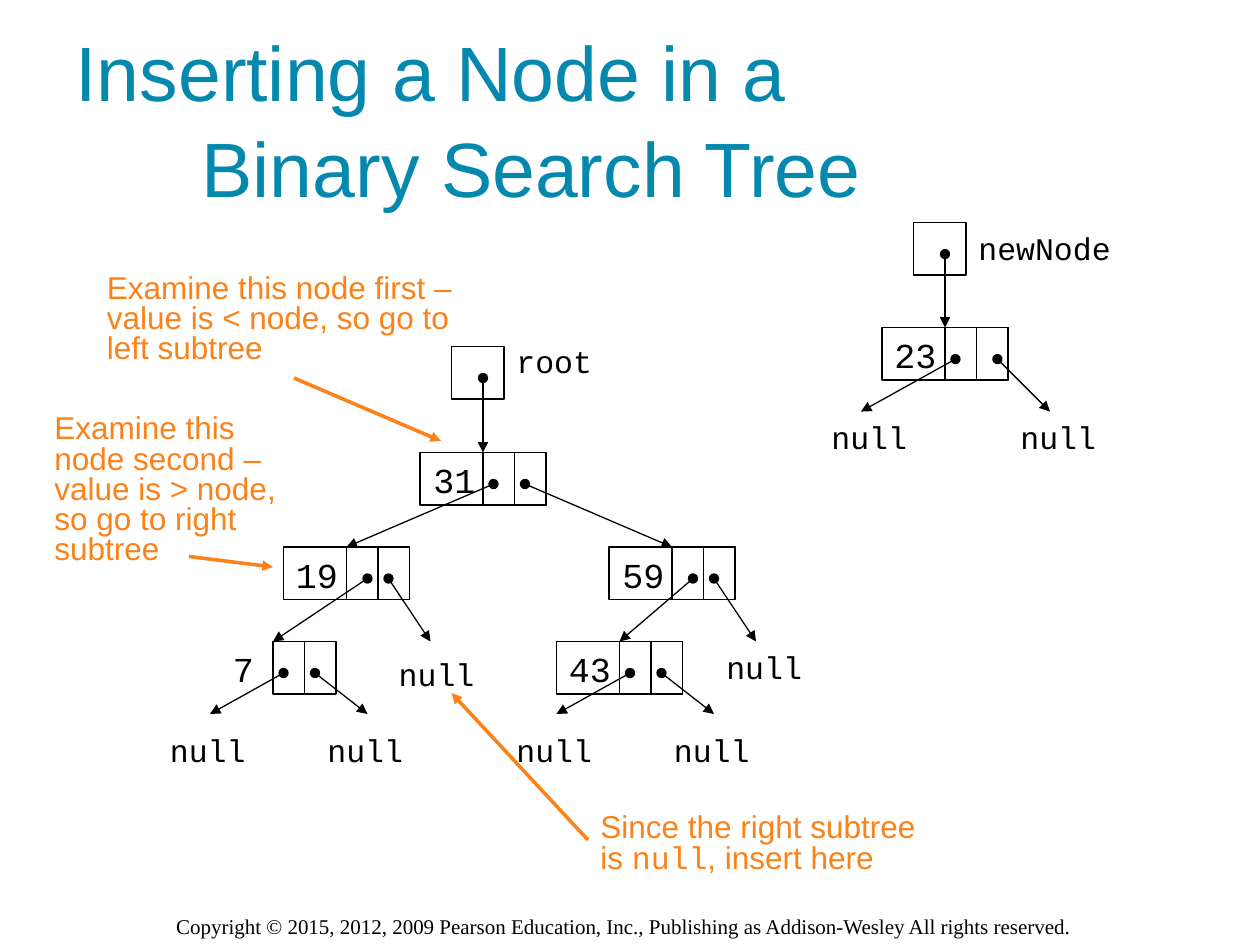
from dataclasses import dataclass
from typing import Any, Optional

from lxml.etree import SubElement
from pptx import Presentation
from pptx.dml.color import RGBColor as Rgb
from pptx.enum.shapes import MSO_CONNECTOR as Conn, MSO_SHAPE as Kind
from pptx.enum.text import MSO_ANCHOR as Anchor, MSO_AUTO_SIZE as Auto, PP_ALIGN as Align
from pptx.oxml.ns import qn
from pptx.util import Pt

PX = 7620  # EMU in one px, 120 px to the inch


@dataclass(frozen=True)
class Theme:
    ink: Rgb = Rgb(0, 0, 0)
    blue: Rgb = Rgb(0x04, 0x88, 0xAE)
    note: Rgb = Rgb(0xFA, 0x82, 0x18)
    sans: str = "Arial"
    mono: str = "Courier New"
    serif: str = "Times New Roman"
    head: int = 44
    value: int = 20
    body: int = 18
    foot: int = 12
    thin: float = 0.75
    bold: float = 2


T = Theme()


@dataclass(frozen=True)
class Node:
    value: str
    x: int
    y: int
    left: int = 70  # dot offsets from x
    right: int = 100
    shift: int = 0  # label offset from x
    framed: bool = True


@dataclass(frozen=True)
class Link:
    node: Node
    side: str
    end: Any  # a Node or a point


@dataclass(frozen=True)
class Note:
    box: tuple
    runs: tuple  # (text, font name)
    start: tuple
    end: tuple


def style(font: Any, name: str, size: int, color: Rgb) -> None:
    for key, val in {"name": name, "size": Pt(size), "bold": False}.items():
        setattr(font, key, val)
    font.color.rgb = color


def text(box: tuple, runs: tuple, size: int, color: Rgb,
         wrap: bool = False, gap: Optional[float] = None) -> None:
    frame = shapes.add_textbox(*(n * PX for n in box)).text_frame
    frame.word_wrap = wrap
    par = frame.paragraphs[0]
    par.line_spacing = gap
    for words, name in runs:
        run = par.add_run()
        run.text = words
        style(run.font, name, size, color)


def label(x: int, y: int, words: str, wide: int = 96) -> None:
    text((x, y, wide, 48), ((words, T.mono),), T.body, T.ink)


def rect(x: int, y: int, w: int) -> Any:
    box = shapes.add_shape(Kind.RECTANGLE, x * PX, y * PX, w * PX, 50 * PX)
    box.shadow.inherit = False
    box.fill.background()
    box.line.color.rgb = T.ink
    box.line.width = Pt(T.thin)
    return box


def arrow(start: tuple, end: tuple, color: Rgb = T.ink, width: float = T.thin,
          dot: bool = True, goal: Any = None) -> None:
    line = shapes.add_connector(Conn.STRAIGHT, *(n * PX for n in start + end))
    line.line.color.rgb = color
    line.line.width = Pt(width)
    props = line.line._get_or_add_ln()
    if dot:
        SubElement(props, qn("a:headEnd"), type="oval")
    SubElement(props, qn("a:tailEnd"), type="triangle")
    SubElement(line._element.spPr, qn("a:effectLst"))
    if goal is not None:
        line.end_connect(goal, 0)


def draw(node: Node) -> Any:
    frame = rect(node.x, node.y, 120) if node.framed else None
    for dx in (60, 90):
        rect(node.x + dx, node.y, 30)
    text((node.x + node.shift, node.y, 64, 53), ((node.value, T.mono),), T.value, T.ink)
    return frame


def join(link: Link) -> None:
    node, end = link.node, link.end
    start = (node.x + getattr(node, link.side), node.y + 30)
    if isinstance(end, Node):
        arrow(start, (end.x + 60, end.y), goal=frames[end])
    else:
        arrow(start, end)


def pointer(node: Node, name: str, y: int, top: int, wide: int) -> None:
    """Draw the reference box that leads to a node."""
    rect(node.x + 30, y, 50)
    arrow((node.x + 60, y + 30), (node.x + 60, node.y), goal=frames[node])
    label(node.x + 80, top, name, wide)


deck = Presentation()
deck.slide_width, deck.slide_height = 1200 * PX, 900 * PX
slide = deck.slides.add_slide(deck.slide_layouts[5])
shapes = slide.shapes

# Title, with the second line indented
title = shapes.title
for key, val in {"left": 60, "top": 36, "width": 1080, "height": 150}.items():
    setattr(title, key, val * PX)
frame = title.text_frame
for key, val in {"auto_size": Auto.NONE, "word_wrap": True,
                 "vertical_anchor": Anchor.MIDDLE,
                 "text": "Inserting a Node in a\vBinary Search Tree"}.items():
    setattr(frame, key, val)
par = frame.paragraphs[0]
par.alignment = Align.LEFT
par.line_spacing = 1.04
props = par._p.get_or_add_pPr()
props.set("marL", str(120 * PX))
props.set("indent", str(-120 * PX))
for run in par.runs:
    style(run.font, T.sans, T.head, T.blue)

# Tree nodes and the new node
n31 = Node("31", 400, 431, shift=1)
n19 = Node("19", 270, 521, left=80)
n59 = Node("59", 580, 521, left=80, shift=1)
n7 = Node("7", 200, 611, shift=10, framed=False)
n43 = Node("43", 530, 611)
n23 = Node("23", 840, 312, right=110)
frames = {node: draw(node) for node in (n31, n19, n59, n7, n43, n23)}
pointer(n31, "root", 330, 320, 96)
pointer(n23, "newNode", 212, 212, 150)

# Links to children and to null
for link in (
    Link(n31, "left", n19), Link(n31, "right", n59),
    Link(n19, "left", (260, 611)), Link(n19, "right", (410, 611)),
    Link(n59, "left", n43), Link(n59, "right", (720, 611)),
    Link(n7, "left", (200, 680)), Link(n7, "right", (350, 680)),
    Link(n43, "left", (530, 680)), Link(n43, "right", (680, 680)),
    Link(n23, "left", (820, 392)), Link(n23, "right", (1000, 392)),
):
    join(link)
for x, y in ((368, 618), (680, 611), (150, 690), (300, 690),
             (480, 690), (630, 690), (780, 392), (960, 392)):
    label(x, y, "null")

# Notes with their arrows
for note in (
    Note((90, 256, 370, 98),
         (("Examine this node first – value is < node, so go to left subtree", T.sans),),
         (280, 360), (420, 420)),
    Note((40, 390, 270, 156),
         (("Examine this node second – value is > node, so go to right subtree", T.sans),),
         (180, 530), (260, 540)),
    Note((560, 770, 352, 70),
         (("Since the right subtree is ", T.sans), ("null", T.mono), (", insert here", T.sans)),
         (560, 800), (430, 660)),
):
    text(note.box, note.runs, T.body, T.note, wrap=True, gap=0.8)
    arrow(note.start, note.end, T.note, T.bold, dot=False)

# Copyright line
text((156, 864, 890, 36),
     (("Copyright © 2015, 2012, 2009 Pearson Education, Inc., Publishing as "
       "Addison-Wesley All rights reserved.", T.serif),), T.foot, T.ink, wrap=True)

deck.save("out.pptx")
